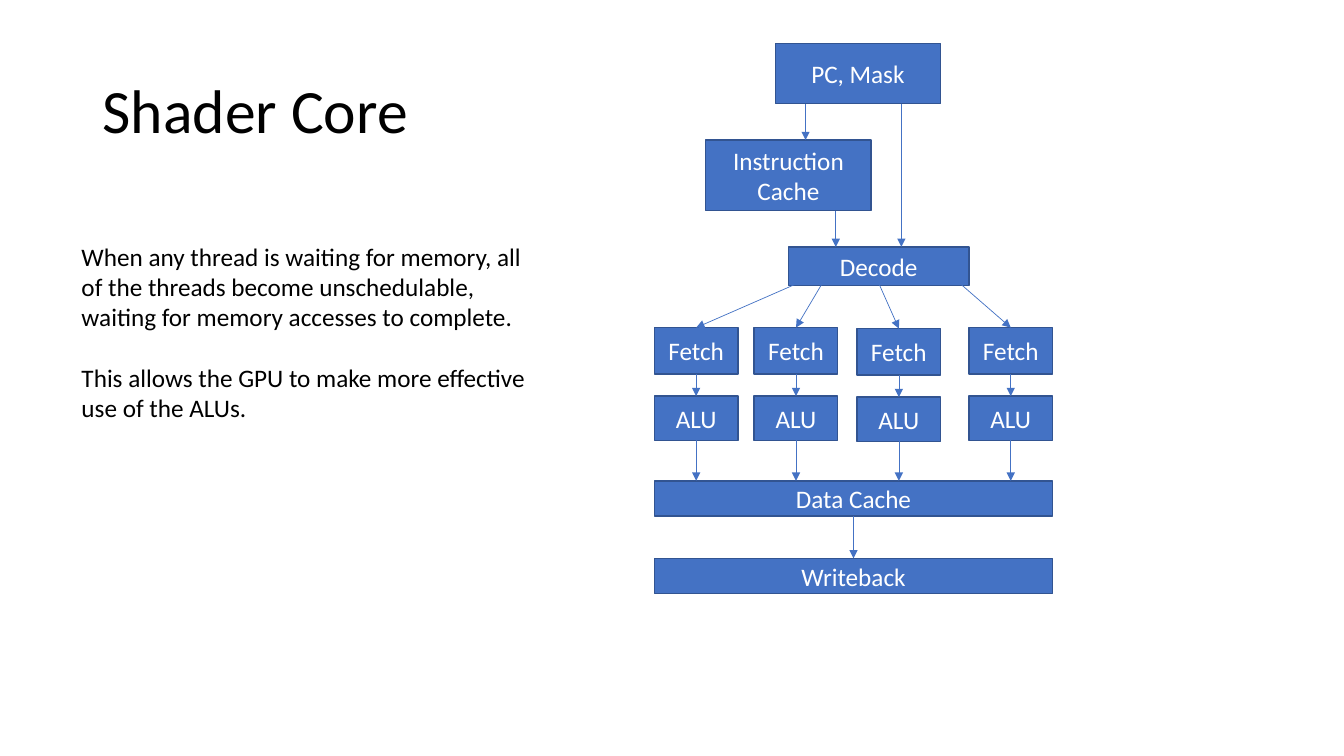
from lxml import etree
from pptx import Presentation, util as u
from pptx.dml.color import RGBColor
from pptx.enum import shapes as sh, text as tx
from pptx.oxml import ns

BLUE = RGBColor(0x44, 0x72, 0xC4)
NAVY = RGBColor(0x32, 0x54, 0x91)
WHITE = RGBColor(0xFF, 0xFF, 0xFF)
BLACK = RGBColor(0, 0, 0)
FONT = "Calibri"
CELL = 0.1


def grid(box, col, row):
    """Return the slide position of a grid point inside a box."""
    return u.Inches(box[0] + col * CELL), u.Inches(box[1] + row * CELL)


def write(para, words, size, color):
    """Add one styled run to a paragraph."""
    run = para.add_run()
    run.text = words
    run.font.name, run.font.size = FONT, u.Pt(size)
    run.font.color.rgb = color


def block(host, box, words, col, row, wide, high):
    """Draw a labelled rectangle on the grid of a box."""
    size = u.Inches(wide * CELL), u.Inches(high * CELL)
    rect = host.add_shape(sh.MSO_SHAPE.RECTANGLE, *grid(box, col, row), *size)
    rect.shadow.inherit = False
    rect.fill.solid()
    rect.fill.fore_color.rgb = BLUE
    rect.line.color.rgb, rect.line.width = NAVY, u.Pt(1)
    frame = rect.text_frame
    frame.word_wrap = True
    frame.vertical_anchor = tx.MSO_ANCHOR.MIDDLE
    para = frame.paragraphs[0]
    para.alignment = tx.PP_ALIGN.CENTER
    write(para, words, 18, WHITE)


def arrow(host, box, start, end):
    """Draw an arrow between two grid points of a box."""
    link = host.add_connector(sh.MSO_CONNECTOR.STRAIGHT, *grid(box, *start), *grid(box, *end))
    link.line.color.rgb, link.line.width = BLUE, u.Pt(0.5)
    etree.SubElement(link.line._get_or_add_ln(), ns.qn("a:tailEnd"), type="triangle")
    etree.SubElement(link._element.spPr, ns.qn("a:effectLst"))


def prose(slide, box, paras, size, anchor, lead=1.0, gap=0):
    """Place wrapped paragraphs in a text box."""
    frame = slide.shapes.add_textbox(*map(u.Inches, box)).text_frame
    frame.word_wrap = True
    frame.vertical_anchor = anchor
    for num, words in enumerate(paras):
        para = frame.add_paragraph() if num else frame.paragraphs[0]
        para.line_spacing = lead
        para.space_before = u.Pt(gap if num else 0)
        write(para, words, size, BLACK)


def lane(slide, box, col, drop, source):
    """Draw one fetch and ALU pair with its arrows in and out."""
    mid, top = col + 4.15, 28.2 + drop
    pair = slide.shapes.add_group_shape().shapes
    block(pair, box, "ALU", col, top + 6.8, 8.3, 4.4)
    block(pair, box, "Fetch", col, top, 8.3, 4.6)
    arrow(pair, box, (mid, top + 4.6), (mid, top + 6.8))
    arrow(slide.shapes, box, (source, 23.9), (mid, top))
    arrow(slide.shapes, box, (mid, top + 11.2), (mid, 43.4))


def core(slide, box):
    """Draw the shader core pipeline in a box."""
    host = slide.shapes
    for part in (
        ("PC, Mask", 12, 0, 16.4, 6),
        ("Instruction Cache", 5.1, 9.6, 16.4, 7),
        ("Decode", 13.3, 20.2, 17.9, 3.8),
        ("Data Cache", 0, 43.4, 39.5, 3.5),
        ("Writeback", 0, 51.1, 39.5, 3.5),
    ):
        block(host, box, *part)
    for col, top, end in ((15, 6, 9.6), (18, 16.6, 20.2), (24.5, 6, 20.2), (19.75, 46.9, 51.1)):
        arrow(host, box, (col, top), (col, end))
    for spot in ((0, 0, 14), (9.9, 0, 16.6), (20.1, 0.1, 22.3), (31.2, 0, 30.4)):
        lane(slide, box, *spot)


def main():
    """Build and save the slide."""
    deck = Presentation()
    deck.slide_width, deck.slide_height = u.Inches(13.33), u.Inches(7.5)
    slide = deck.slides.add_slide(deck.slide_layouts[6])
    prose(slide, (0.92, 0.4, 11.5, 1.45), ["Shader Core"], 44, tx.MSO_ANCHOR.MIDDLE, lead=0.9)
    core(slide, (6.49, 0.43))
    notes = [
        "When any thread is waiting for memory, all of the threads become "
        "unschedulable, waiting for memory accesses to complete.",
        "This allows the GPU to make more effective use of the ALUs.",
    ]
    prose(slide, (0.71, 2.34, 4.68, 1.92), notes, 18, tx.MSO_ANCHOR.TOP, gap=22)
    deck.save("out.pptx")


if __name__ == "__main__":
    main()
